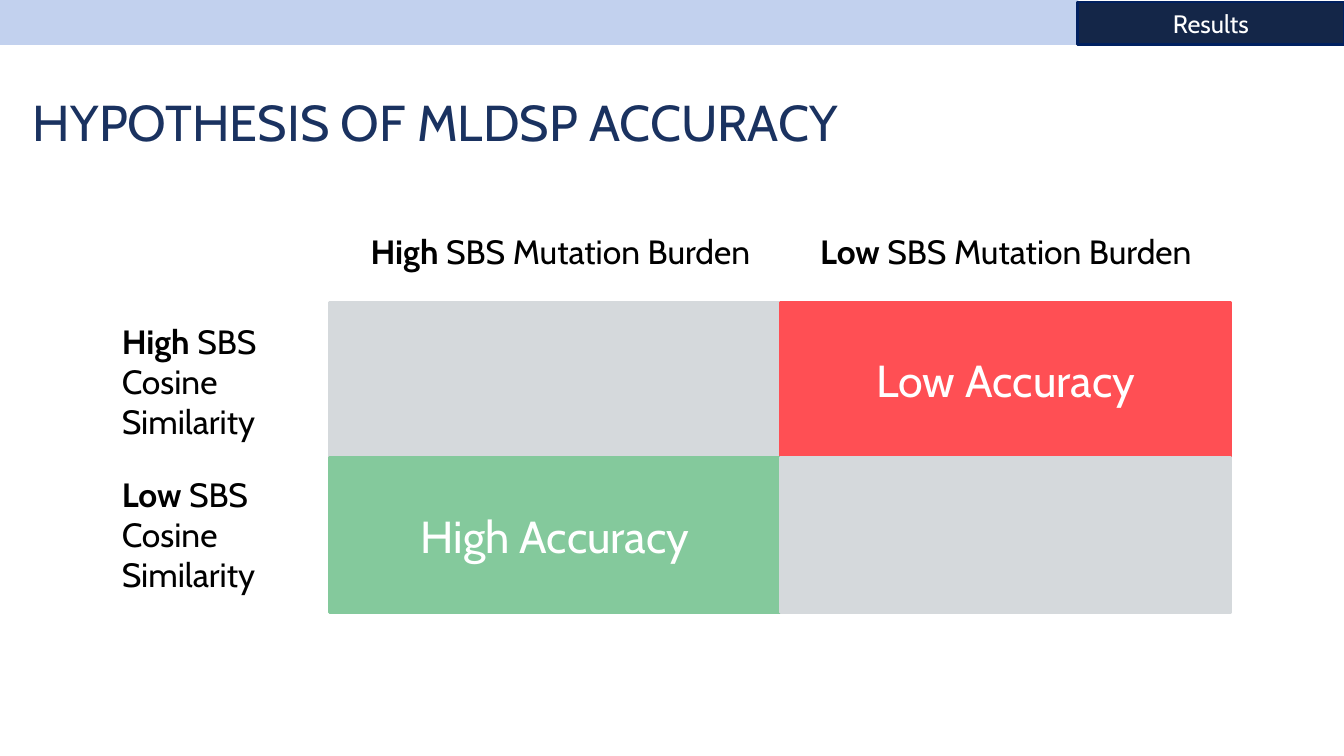
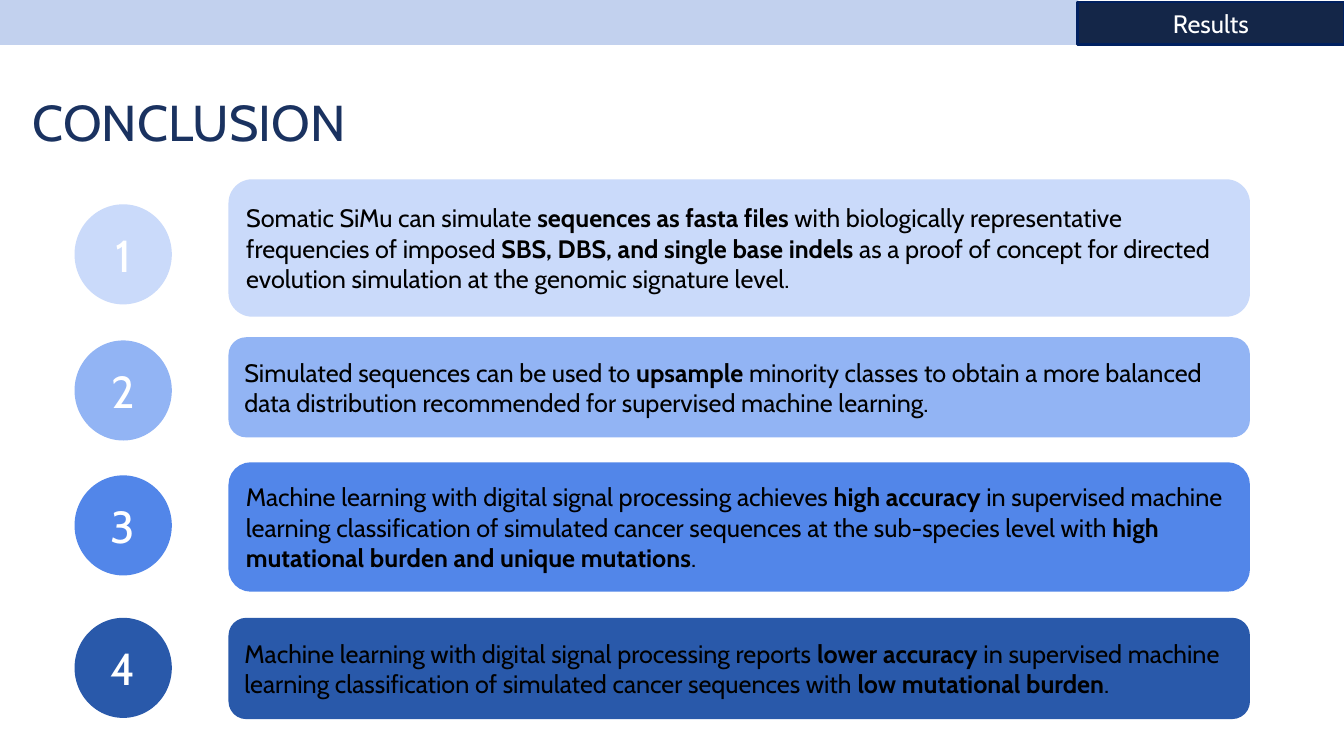
"""Build two results slides: the accuracy hypothesis and the conclusion."""
from pptx import Presentation
from pptx.dml.color import RGBColor
from pptx.enum.shapes import MSO_SHAPE
from pptx.enum.text import MSO_ANCHOR, PP_ALIGN
from pptx.util import Cm, Pt

RECT, ROUND, OVAL = MSO_SHAPE.RECTANGLE, MSO_SHAPE.ROUNDED_RECTANGLE, MSO_SHAPE.OVAL
TOP, MIDDLE, BOTTOM = MSO_ANCHOR.TOP, MSO_ANCHOR.MIDDLE, MSO_ANCHOR.BOTTOM
LEFT, CENTER = PP_ALIGN.LEFT, PP_ALIGN.CENTER

FONT = "Cabin"
BLACK = RGBColor(0x00, 0x00, 0x00)
WHITE = RGBColor(0xFF, 0xFF, 0xFF)
BAND = RGBColor(0xC2, 0xD1, 0xEE)
TAB = RGBColor(0x14, 0x26, 0x48)
TAB_EDGE = RGBColor(0x00, 0x20, 0x60)
TITLE = RGBColor(0x1A, 0x32, 0x60)
RED = RGBColor(0xFF, 0x4F, 0x54)
GREEN = RGBColor(0x84, 0xC9, 0x9C)
GREY = RGBColor(0xD5, 0xD9, 0xDC)
BLUES = [
    RGBColor(0xCA, 0xDA, 0xFA),
    RGBColor(0x92, 0xB4, 0xF4),
    RGBColor(0x52, 0x86, 0xE9),
    RGBColor(0x29, 0x59, 0xAA),
]

BAND_COUNT, BAND_PITCH, BAND_H = 4, 6.79, 1.07

CELL_LEFT, CELL_TOP, CELL_W, CELL_H = 8.31, 7.62, 11.36, 3.91
MATRIX = [
    [("", GREY), ("Low Accuracy", RED)],
    [("High Accuracy", GREEN), ("", GREY)],
]
AXIS_LABELS = [
    ((9.09, 5.69, 10.59, 1.27), ["**High** SBS Mutation Burden"]),
    ((20.42, 5.69, 10.11, 1.27), ["**Low** SBS Mutation Burden"]),
    ((2.82, 7.95, 4.7, 3.33), ["**High **SBS", "Cosine Similarity"]),
    ((2.82, 11.81, 4.7, 3.33), ["**Low **SBS", "Cosine Similarity"]),
]

CIRCLE_LEFT, CIRCLE_W, CIRCLE_H = 1.91, 2.39, 2.46
BOX_LEFT, BOX_W = 5.79, 25.68
CONCLUSIONS = [
    (5.18, 4.55, 3.4,
     "Somatic SiMu can simulate **sequences as fasta files **with biologically "
     "representative frequencies of imposed **SBS, DBS, and single base indels **as a "
     "proof of concept for directed evolution simulation at the genomic signature level."),
    (8.61, 8.53, 2.46,
     "Simulated sequences can be used to **upsample** minority classes to obtain a more "
     "balanced data distribution recommended for supervised machine learning."),
    (12.01, 11.68, 3.2,
     "Machine learning with digital signal processing achieves **high accuracy **in "
     "supervised machine learning classification of simulated cancer sequences at the "
     "sub-species level with **high mutational burden and unique mutations**."),
    (15.6, 15.6, 2.49,
     "Machine learning with digital signal processing reports **lower accuracy **in "
     "supervised machine learning classification of simulated cancer sequences with "
     "**low mutational burden**."),
]


def write(sp, lines, size, color, align=LEFT, anchor=MIDDLE):
    """Fill a shape with lines in which ** switches bold on and off."""
    tf = sp.text_frame
    tf.word_wrap = True
    tf.vertical_anchor = anchor
    for i, line in enumerate(lines):
        p = tf.add_paragraph() if i else tf.paragraphs[0]
        p.alignment = align
        p.font.name = FONT
        p.font.size = Pt(size)
        p.font.color.rgb = color
        for j, part in enumerate(line.split("**")):
            if part:
                r = p.add_run()
                r.text = part
                if j % 2:
                    r.font.bold = True


def add_text(slide, box, lines, size, color, anchor=TOP):
    """Add a left-aligned text box."""
    sp = slide.shapes.add_textbox(*map(Cm, box))
    write(sp, lines, size, color, anchor=anchor)


def add_block(slide, kind, box, fill, edge=None):
    """Add a flat filled shape, outlined in its own colour by default."""
    sp = slide.shapes.add_shape(kind, *map(Cm, box))
    sp.shadow.inherit = False
    sp.fill.solid()
    sp.fill.fore_color.rgb = fill
    sp.line.color.rgb = edge or fill
    sp.line.width = Pt(1.75)
    return sp


def add_slide(prs, title):
    """Add a blank slide with the navigation band and the title."""
    slide = prs.slides.add_slide(prs.slide_layouts[6])
    for i in range(BAND_COUNT):
        add_block(slide, RECT, (i * BAND_PITCH, 0.03, BAND_PITCH, BAND_H), BAND)
    tab = add_block(slide, RECT, (BAND_COUNT * BAND_PITCH, 0.05, 6.71, BAND_H), TAB, TAB_EDGE)
    write(tab, ["Results"], 18, WHITE, CENTER)
    add_text(slide, (0.58, 2.16, 33.5, 1.78), [title], 36, TITLE, BOTTOM)
    return slide


def build_hypothesis(prs):
    """Draw the two-by-two accuracy matrix."""
    slide = add_slide(prs, "HYPOTHESIS OF MLDSP ACCURACY")
    for row, cells in enumerate(MATRIX):
        for col, (text, fill) in enumerate(cells):
            box = (CELL_LEFT + col * CELL_W, CELL_TOP + row * CELL_H, CELL_W, CELL_H)
            sp = add_block(slide, RECT, box, fill)
            if text:
                write(sp, [text], 32, WHITE, CENTER)
    for box, lines in AXIS_LABELS:
        add_text(slide, box, lines, 24, BLACK)


def build_conclusion(prs):
    """Draw the numbered conclusions."""
    slide = add_slide(prs, "CONCLUSION")
    for number, (blue, item) in enumerate(zip(BLUES, CONCLUSIONS), 1):
        circle_top, box_top, box_h, text = item
        sp = add_block(slide, ROUND, (BOX_LEFT, box_top, BOX_W, box_h), blue)
        write(sp, [text], 18, BLACK)
        sp = add_block(slide, OVAL, (CIRCLE_LEFT, circle_top, CIRCLE_W, CIRCLE_H), blue)
        write(sp, [str(number)], 32, WHITE, CENTER)


def main():
    """Build and save the presentation."""
    prs = Presentation()
    prs.slide_width, prs.slide_height = Cm(33.87), Cm(19.05)
    build_hypothesis(prs)
    build_conclusion(prs)
    prs.save("out.pptx")


if __name__ == "__main__":
    main()
